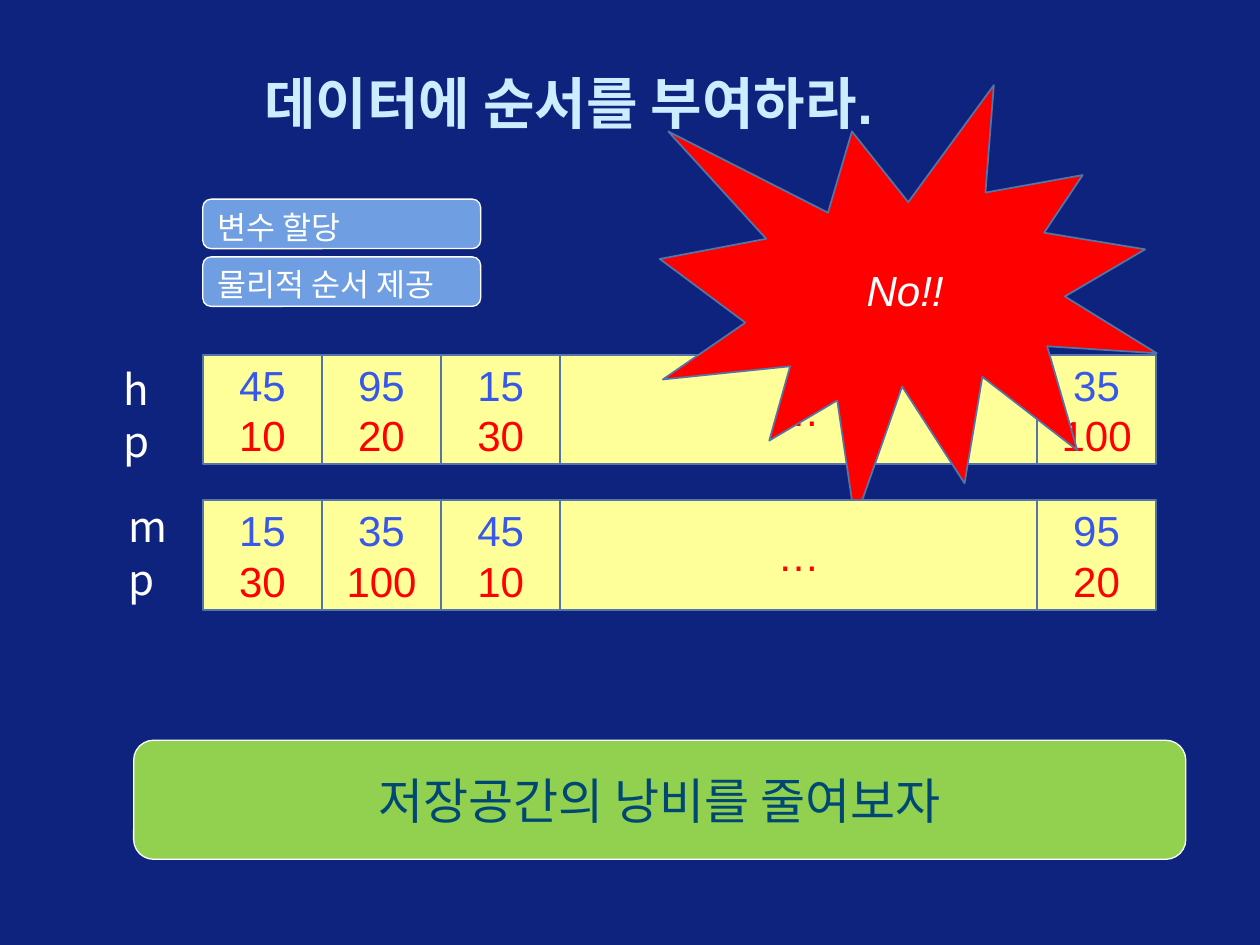
from pptx import Presentation
from pptx.dml.color import RGBColor
from pptx.enum.shapes import MSO_SHAPE
from pptx.enum.text import MSO_ANCHOR, PP_ALIGN
from pptx.util import Pt
from lxml.etree import SubElement
from pptx.oxml.ns import qn

NAVY = RGBColor(0x0E, 0x23, 0x7E)
ICE = RGBColor(0xCC, 0xEC, 0xFF)
CREAM = RGBColor(0xFF, 0xFF, 0x99)
STEEL = RGBColor(0x53, 0x75, 0xA7)
BLUE = RGBColor(0x37, 0x58, 0xE9)
RED = RGBColor(0xFF, 0x00, 0x00)
WHITE = RGBColor(0xFF, 0xFF, 0xFF)
GREEN = RGBColor(0x92, 0xD0, 0x50)
TEAL = RGBColor(0x00, 0x48, 0x73)
SKY = RGBColor(0x70, 0x9E, 0xE2)
HANGUL = "Noto Sans CJK KR"


def write(para, text, color, **form):
    """Add a run in Arial 24 unless form says otherwise."""
    run = para.add_run()
    run.text = text
    for name, value in ({"name": "Arial", "size": Pt(24)} | form).items():
        setattr(run.font, name, value)
    run.font.color.rgb = color
    SubElement(run.font._element, qn("a:ea"), typeface=HANGUL)


def draw(home, kind, spot, fill, edge, weight):
    """Add a filled, outlined shape and return it with its first paragraph."""
    shape = home.add_shape(kind, *map(Pt, spot))
    shape.shadow.inherit = False
    shape.fill.solid()
    shape.fill.fore_color.rgb = fill
    shape.line.color.rgb = edge
    shape.line.width = Pt(weight)
    shape.text_frame.vertical_anchor = MSO_ANCHOR.MIDDLE
    para = shape.text_frame.paragraphs[0]
    para.alignment = PP_ALIGN.CENTER
    return shape, para


deck = Presentation()
deck.slide_width, deck.slide_height = Pt(720), Pt(540)
slide = deck.slides.add_slide(deck.slide_layouts[6])
slide.background.fill.solid()
slide.background.fill.fore_color.rgb = NAVY
shapes = slide.shapes

title = shapes.add_textbox(Pt(144), Pt(36), Pt(545.8), Pt(44.6)).text_frame
title.word_wrap = True
title.vertical_anchor = MSO_ANCHOR.MIDDLE
write(title.paragraphs[0], "데이터에 순서를 부여하라.", ICE, size=Pt(32), bold=True)

# Rows of cells: left column, then value over address; the burst sits between
LEFT, CELL, HIGH = 115.9, 68.1, 62.6
ROWS = [
    (202.8, [("45", "10"), ("95", "20"), ("15", "30"), ("35", "100")]),
    (285.9, [("15", "30"), ("35", "100"), ("45", "10"), ("95", "20")]),
]
for index, (top, pairs) in enumerate(ROWS):
    row = shapes.add_group_shape().shapes
    gap = (LEFT + 3 * CELL, top, 4 * CELL, HIGH)
    _, para = draw(row, MSO_SHAPE.RECTANGLE, gap, CREAM, STEEL, 1)
    write(para, "…", RED)
    for column, (value, address) in zip((0, 1, 2, 7), pairs):
        spot = (LEFT + column * CELL, top, CELL, HIGH)
        cell, para = draw(row, MSO_SHAPE.RECTANGLE, spot, CREAM, STEEL, 1)
        write(para, value, BLUE)
        para = cell.text_frame.add_paragraph()
        para.alignment = PP_ALIGN.CENTER
        write(para, address, RED)
    if index == 0:
        burst = (377, 48.7, 284, 249)
        _, para = draw(shapes, MSO_SHAPE.EXPLOSION1, burst, RED, STEEL, 1)
        write(para, "No!!", WHITE, italic=True)

for left, top, letters in [(63.4, 202.8, "hp"), (66.5, 281.5, "mp")]:
    label = shapes.add_textbox(Pt(left), Pt(top), Pt(46), Pt(36)).text_frame
    label.word_wrap = False
    para = label.paragraphs[0]
    para.line_spacing = Pt(30)
    write(para, letters[0], WHITE, name=HANGUL)
    para.add_line_break()
    write(para, letters[1], WHITE, name=HANGUL)

for index, text in enumerate(["변수 할당", "물리적 순서 제공"]):
    spot = (LEFT, 113.8 + 33 * index, 158.8, 28.3)
    pill, para = draw(shapes, MSO_SHAPE.ROUNDED_RECTANGLE, spot, SKY, WHITE, 0.75)
    pill.text_frame.vertical_anchor = MSO_ANCHOR.TOP
    para.alignment = PP_ALIGN.LEFT
    write(para, text, WHITE, size=Pt(18))

spot = (76.4, 423, 601.2, 68)
_, para = draw(shapes, MSO_SHAPE.ROUNDED_RECTANGLE, spot, GREEN, WHITE, 0.75)
write(para, "저장공간의 낭비를 줄여보자", TEAL, size=Pt(28))

deck.save("out.pptx")
